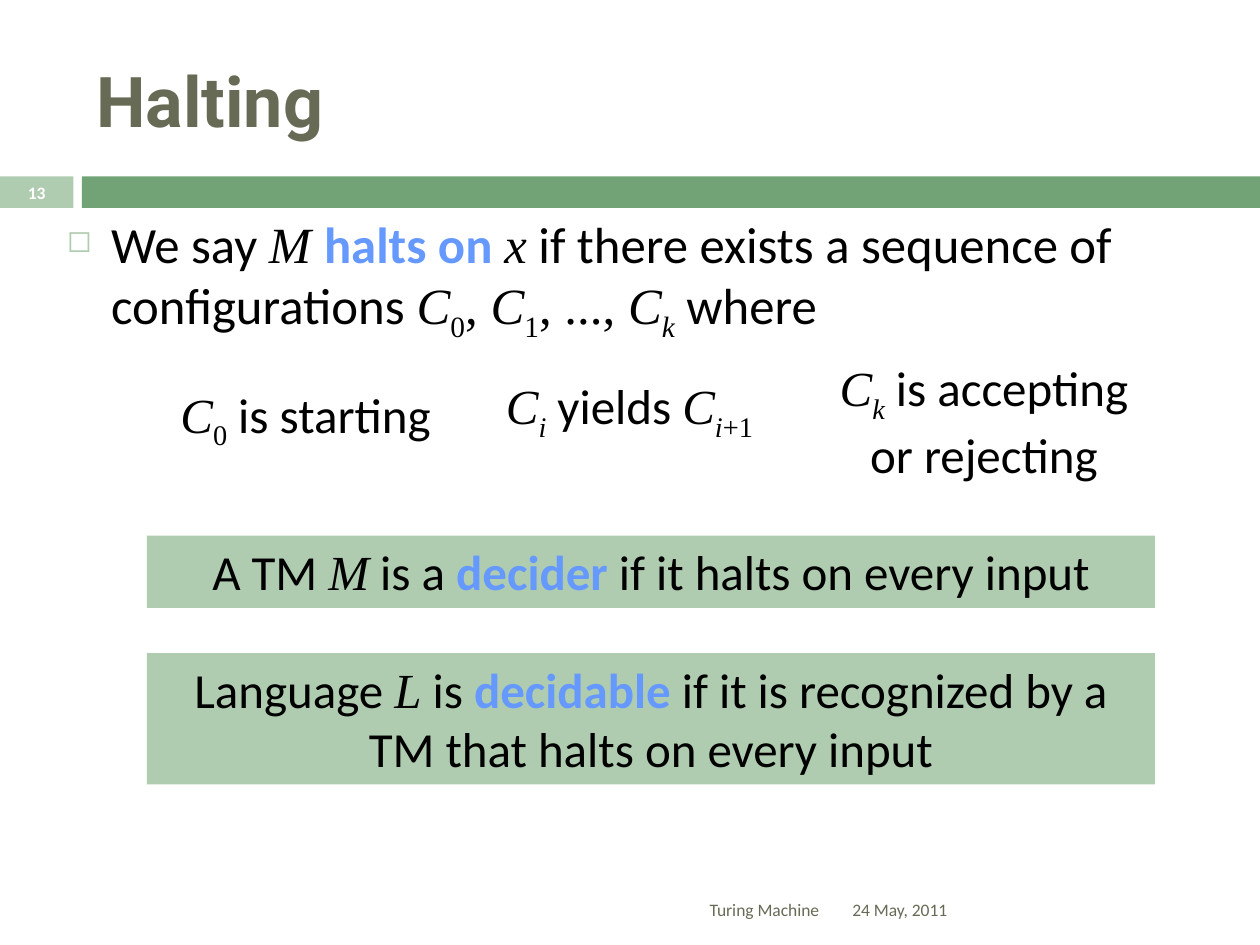
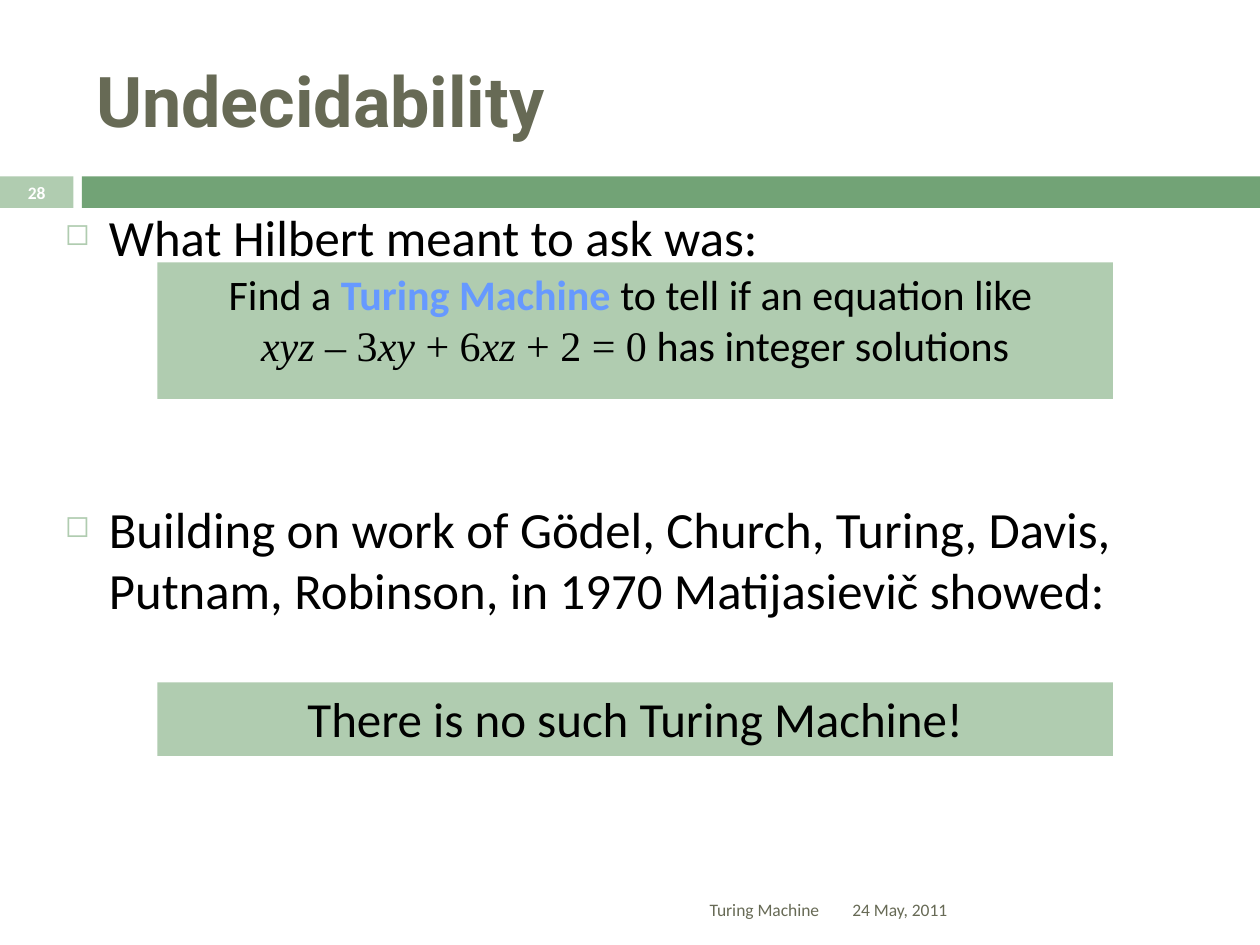
from dataclasses import dataclass
from typing import Optional

import lxml.etree
import pptx
import pptx.dml.color
import pptx.enum.shapes
import pptx.enum.text
import pptx.oxml.ns
import pptx.util

ALIGN = pptx.enum.text.PP_ALIGN
ANCHOR = pptx.enum.text.MSO_ANCHOR
AUTO_SIZE = pptx.enum.text.MSO_AUTO_SIZE


# Theme: every colour, font and type size
@dataclass(frozen=True)
class Theme:
    pale: str = "B0CCB0"
    green: str = "72A376"
    olive: str = "676A55"
    ink: str = "000000"
    term: str = "6699FF"
    white: str = "FFFFFF"
    text_font: str = "Calibri"
    title_font: str = "Roboto"
    math_font: str = "Times New Roman"
    title_size: int = 40
    bullet_size: int = 29
    statement_size: int = 28
    question_size: int = 24
    small_size: int = 10


THEME = Theme()

# Grid: 120 columns by 90 rows over a 10 x 7.5 inch slide
WIDTH, HEIGHT = pptx.util.Inches(10), pptx.util.Inches(7.5)
COLUMNS, ROWS = 120, 90


@dataclass(frozen=True)
class Area:
    column: float
    row: float
    columns: float
    rows: float

    def emu(self) -> tuple[int, int, int, int]:
        return (round(self.column * WIDTH / COLUMNS), round(self.row * HEIGHT / ROWS),
                round(self.columns * WIDTH / COLUMNS), round(self.rows * HEIGHT / ROWS))


# Pieces of text
@dataclass(frozen=True)
class Span:
    text: str
    font: str = THEME.text_font
    color: str = THEME.ink
    bold: bool = False
    italic: bool = False
    lowered: bool = False


Line = list[Span]


def variable(text: str) -> Span:
    return Span(text, THEME.math_font, italic=True)


def roman(text: str) -> Span:
    return Span(text, THEME.math_font)


def index(text: str, italic: bool = False) -> Span:
    return Span(text, THEME.math_font, italic=italic, lowered=True)


def term(text: str) -> Span:
    return Span(text, color=THEME.term, bold=True)


def configuration(number: str) -> Line:
    """C with a subscript; letters are italic, digits upright."""
    return [variable("C"), index(number, italic=number.isalpha())]


@dataclass(frozen=True)
class Block:
    area: Area
    lines: list[Line]
    size: int = THEME.statement_size
    align: ALIGN = ALIGN.CENTER
    anchor: ANCHOR = ANCHOR.TOP
    fill: Optional[str] = None
    wrap: bool = True
    grow: bool = False
    bulleted: bool = False
    gap: float = 0


@dataclass(frozen=True)
class Page:
    title: str
    number: int
    blocks: list[Block]


# Drawing
def add_text(paragraph, text: str, *, size: int, font: str, color: str,
             bold: bool = False, italic: bool = False, lowered: bool = False) -> None:
    run = paragraph.add_run()
    run.text = text
    run.font.size = pptx.util.Pt(size)
    run.font.name = font
    run.font.color.rgb = pptx.dml.color.RGBColor.from_string(color)
    run.font.bold = bold
    run.font.italic = italic
    if lowered:
        run.font._element.set("baseline", "-25000")


def add_bullet(paragraph) -> None:
    properties = paragraph._p.get_or_add_pPr()
    hanging = pptx.util.Inches(0.35)
    properties.set("marL", str(hanging))
    properties.set("indent", str(-hanging))

    def child(parent, tag: str, value: str, key: str = "val"):
        element = lxml.etree.SubElement(parent, pptx.oxml.ns.qn(tag))
        if value:
            element.set(key, value)
        return element

    child(child(properties, "a:buClr", ""), "a:srgbClr", THEME.pale)
    child(properties, "a:buSzPct", "60000")
    child(properties, "a:buChar", "◻", key="char")


def add_band(slide, area: Area, fill: str):
    band = slide.shapes.add_shape(pptx.enum.shapes.MSO_SHAPE.RECTANGLE, *area.emu())
    band.shadow.inherit = False
    band.fill.solid()
    band.fill.fore_color.rgb = pptx.dml.color.RGBColor.from_string(fill)
    band.line.fill.background()
    return band


def add_block(slide, block: Block) -> None:
    if block.fill:
        holder = add_band(slide, block.area, block.fill)
    else:
        holder = slide.shapes.add_textbox(*block.area.emu())
    frame = holder.text_frame
    frame.word_wrap = block.wrap
    frame.vertical_anchor = block.anchor
    frame.auto_size = AUTO_SIZE.SHAPE_TO_FIT_TEXT if block.grow else AUTO_SIZE.NONE
    for position, line in enumerate(block.lines):
        paragraph = frame.add_paragraph() if position else frame.paragraphs[0]
        if block.bulleted:
            add_bullet(paragraph)
        paragraph.alignment = block.align
        if position and block.gap:
            paragraph.space_before = pptx.util.Pt(block.gap)
        for span in line:
            add_text(paragraph, span.text, size=block.size, font=span.font, color=span.color,
                     bold=span.bold, italic=span.italic, lowered=span.lowered)


# Kinds of block
def bullets(area: Area, *lines: Line, gap: float = 0) -> Block:
    return Block(area, list(lines), THEME.bullet_size, ALIGN.LEFT, bulleted=True, gap=gap)


def condition(area: Area, *lines: Line, align: ALIGN = ALIGN.LEFT) -> Block:
    return Block(area, list(lines), align=align, wrap=False, grow=True)


def statement(area: Area, *lines: Line, size: int = THEME.statement_size) -> Block:
    return Block(area, list(lines), size, fill=THEME.pale)


def small(area: Area, text: str, align: ALIGN, color: str = THEME.olive,
          bold: bool = False) -> Block:
    return Block(area, [[Span(text, color=color, bold=bold)]], THEME.small_size,
                 align, ANCHOR.MIDDLE)


# Shared frame: bands, title, page number, footers
BAND_ROW, BAND_ROWS, NUMBER_COLUMNS, BAND_COLUMN = 16.8, 3, 7, 7.8
FOOTER_ROW, FOOTER_ROWS = 84.2, 4.8


def add_frame(slide, page: Page) -> None:
    number_area = Area(0, BAND_ROW, NUMBER_COLUMNS, BAND_ROWS)
    add_band(slide, number_area, THEME.pale)
    add_band(slide, Area(BAND_COLUMN, BAND_ROW, COLUMNS - BAND_COLUMN, BAND_ROWS), THEME.green)
    title = Span(page.title, THEME.title_font, THEME.olive, bold=True)
    for block in (
        Block(Area(8, 3, 107, 13), [[title]], THEME.title_size, ALIGN.LEFT, ANCHOR.MIDDLE),
        small(number_area, str(page.number), ALIGN.CENTER, THEME.white, bold=True),
        small(Area(8, FOOTER_ROW, 71.2, FOOTER_ROWS), "Turing Machine", ALIGN.RIGHT),
        small(Area(80, FOOTER_ROW, 35, FOOTER_ROWS), "24 May, 2011", ALIGN.LEFT),
    ):
        add_block(slide, block)


# Content
HALTING = Page("Halting", 13, [
    bullets(Area(5.2, 19.7, 109.7, 13.3), [
        Span("We say "), variable("M "), term("halts on "), variable("x"),
        Span(" if there exists a sequence of configurations "),
        *configuration("0"), roman(", "), *configuration("1"), roman(", ..., "),
        *configuration("k"), Span(" where")]),
    condition(Area(16, 36, 27.1, 6.9), [*configuration("0"), Span(" is starting")]),
    condition(Area(47, 35.2, 27, 6.9),
              [*configuration("i"), Span(" yields "), *configuration("i"), index("+1")]),
    condition(Area(78.4, 33.5, 30.6, 12.5),
              [*configuration("k"), Span(" is accepting")], [Span("or rejecting")],
              align=ALIGN.CENTER),
    statement(Area(14, 51, 96, 6.9),
              [Span("A TM "), variable("M"), Span(" is a "), term("decider"),
               Span(" if it halts on every input")]),
    statement(Area(14, 62.2, 96, 12.5),
              [Span("Language "), variable("L"), Span(" is "), term("decidable"),
               Span(" if it is recognized by a TM that halts on every input")]),
])

UNDECIDABILITY = Page("Undecidability", 28, [
    bullets(Area(5, 19, 109.7, 46.3),
            [Span("What Hilbert meant to ask was:")],
            [Span("Building on work of Gödel, Church, Turing, Davis, Putnam, Robinson, "
                  "in 1970 Matijasievič showed:")],
            gap=132),
    statement(Area(15, 25, 91, 13),
              [Span("Find a "), term("Turing Machine "),
               Span("to tell if an equation like ")],
              [variable("xyz"), roman(" – 3"), variable("xy"), roman(" + 6"), variable("xz"),
               roman(" + 2 = 0"), Span(" has integer solutions")],
              size=THEME.question_size),
    statement(Area(15, 65, 91, 7), [Span("There is no such Turing Machine!")]),
])


def main() -> None:
    deck = pptx.Presentation()
    deck.slide_width, deck.slide_height = WIDTH, HEIGHT
    blank = deck.slide_layouts[6]
    for page in (HALTING, UNDECIDABILITY):
        slide = deck.slides.add_slide(blank)
        add_frame(slide, page)
        for block in page.blocks:
            add_block(slide, block)
    deck.save("out.pptx")


if __name__ == "__main__":
    main()
